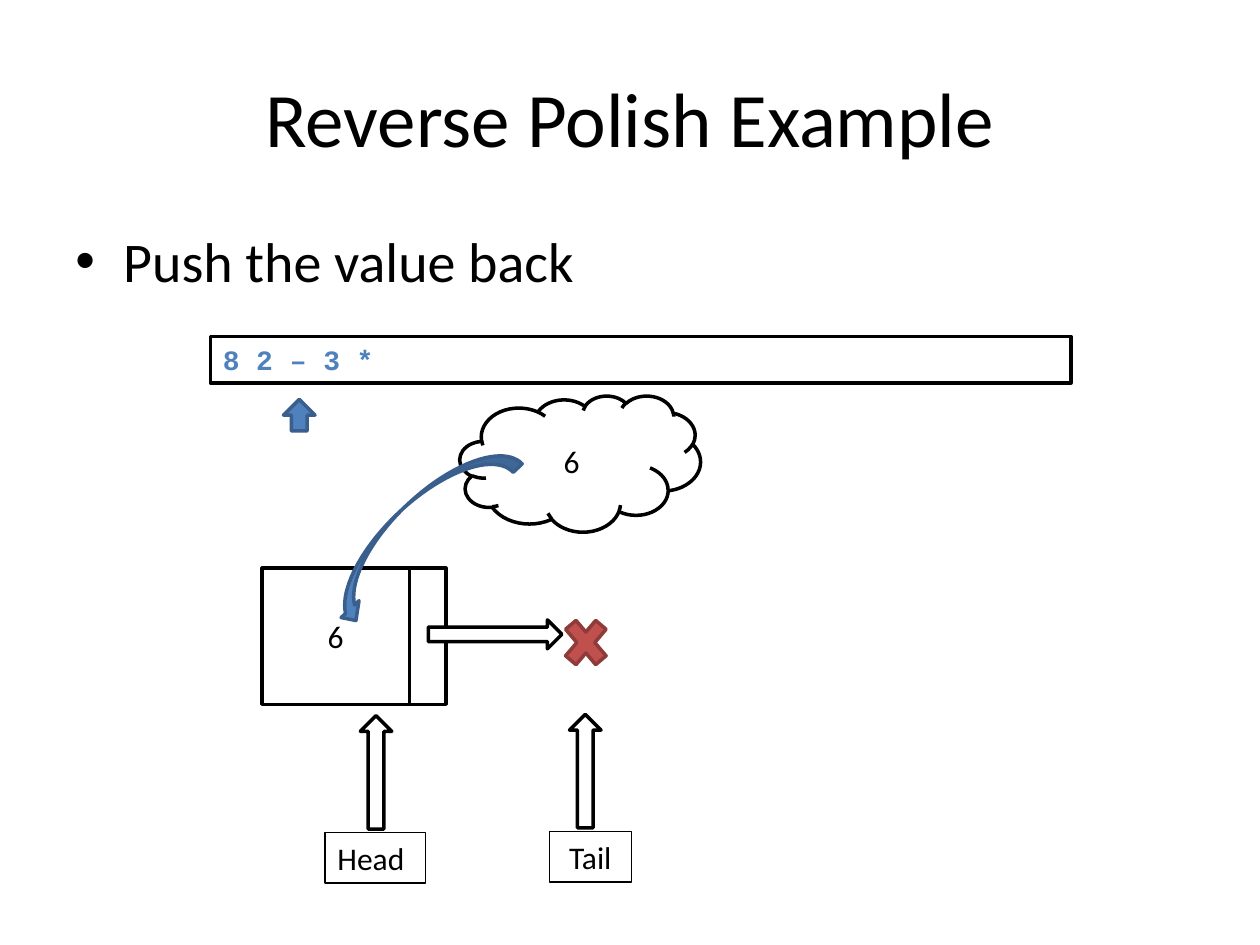
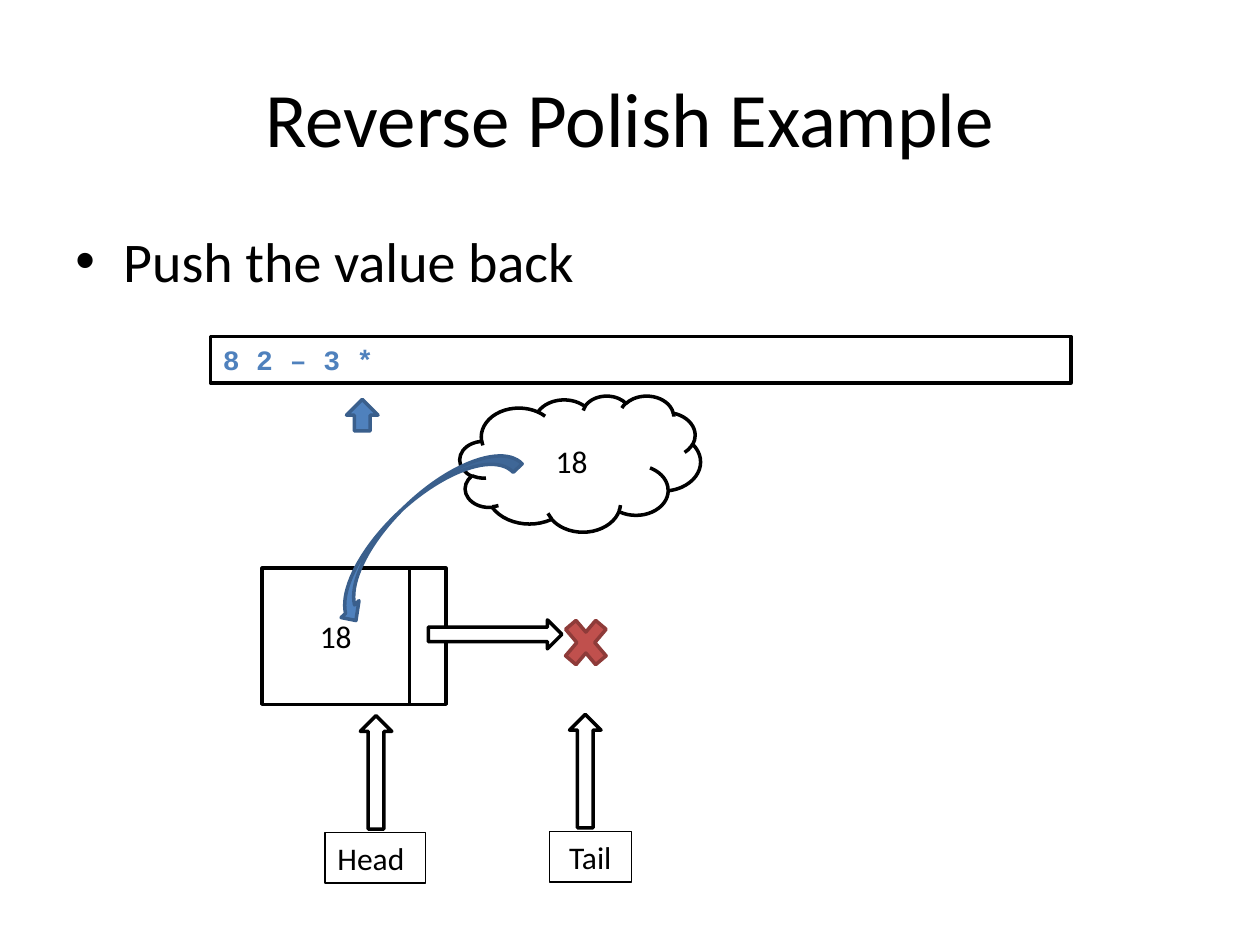
from lxml import etree
from pptx import Presentation
from pptx.dml.color import RGBColor as RGB
from pptx.enum.shapes import MSO_SHAPE as SHAPE
from pptx.enum.text import MSO_ANCHOR as ANCHOR, MSO_AUTO_SIZE as AUTO, PP_ALIGN as ALIGN
from pptx.oxml.ns import qn
from pptx.util import Emu, Pt

PX = 9144  # 100 px to the inch
COLORS = {
    "ink": "000000",
    "paper": "FFFFFF",
    "blue": "4F81BD",
    "blue_edge": "3A5F8C",
    "red": "C0504D",
    "red_edge": "8E3B39",
}
FONT, CODE_FONT = "Calibri", "Courier New"
INDENT = 38


def px(*lengths):
    return [Emu(n * PX) for n in lengths]


def rgb(name):
    return RGB.from_string(COLORS[name])


def write(shape, text, size=18, align=ALIGN.CENTER, anchor=ANCHOR.MIDDLE,
          font=FONT, color="ink", bold=False):
    tf = shape.text_frame
    tf.word_wrap = True
    tf.vertical_anchor = anchor
    p = tf.paragraphs[0]
    p.alignment = align
    r = p.add_run()
    r.text = text
    r.font.name, r.font.size, r.font.bold = font, Pt(size), bold
    r.font.color.rgb = rgb(color)
    return p


def add_shape(shapes, kind, box, fill="paper", line="ink", width=2):
    sp = shapes.add_shape(kind, *px(*box))
    sp.shadow.inherit = False
    if fill:
        sp.fill.solid()
        sp.fill.fore_color.rgb = rgb(fill)
    else:
        sp.fill.background()
    sp.line.color.rgb = rgb(line)
    sp.line.width = Pt(width)
    return sp


def add_title(s, text):
    write(s.shapes.add_textbox(*px(50, 30, 900, 125)), text, 44)


def add_bullet(s, text):
    box = s.shapes.add_textbox(*px(50, 175, 900, 495))
    p = write(box, text, 32, ALIGN.LEFT, ANCHOR.TOP)
    pPr = p._p.get_or_add_pPr()
    pPr.set("marL", str(INDENT * PX))
    pPr.set("indent", str(-INDENT * PX))
    etree.SubElement(pPr, qn("a:buFont")).set("typeface", "Arial")
    etree.SubElement(pPr, qn("a:buChar")).set("char", "•")


def add_pointer(s, label, label_box, arrow_left, arrow_top, align):
    """Add a labelled box with an arrow rising from it."""
    sp = add_shape(s.shapes, SHAPE.RECTANGLE, label_box, fill=None, width=0.75)
    write(sp, label, align=align, anchor=ANCHOR.TOP)
    sp.text_frame.auto_size = AUTO.SHAPE_TO_FIT_TEXT
    add_shape(s.shapes, SHAPE.UP_ARROW, (arrow_left, arrow_top, 25, 90))


def add_expression(s, text, cursor_left):
    """Add the input expression and the cursor under the current token."""
    sp = add_shape(s.shapes, SHAPE.RECTANGLE, (167, 267, 683, 37))
    write(sp, text, 16, ALIGN.LEFT, ANCHOR.TOP, CODE_FONT, "blue", True)
    sp.text_frame.auto_size = AUTO.SHAPE_TO_FIT_TEXT
    add_shape(s.shapes, SHAPE.UP_ARROW, (cursor_left, 317, 25, 25), "blue", "blue_edge")


def add_node(s, value):
    """Add a list node: a value cell and a link cell."""
    node = s.shapes.add_group_shape()
    write(add_shape(node.shapes, SHAPE.RECTANGLE, (208, 451, 117, 108)), value)
    add_shape(node.shapes, SHAPE.RECTANGLE, (325, 451, 29, 108))
    add_shape(s.shapes, SHAPE.RIGHT_ARROW, (340, 492, 106, 23))


def add_push(s, value):
    """Add the computed value in a cloud and the arrow into the node."""
    write(add_shape(s.shapes, SHAPE.CLOUD, (365, 314, 191, 108)), value)
    arrow = add_shape(s.shapes, SHAPE.CURVED_RIGHT_ARROW, (312, 324, 39, 191),
                      "blue", "blue_edge")
    arrow.rotation = 46.7


def add_push_slide(prs, value, cursor_left):
    s = prs.slides.add_slide(prs.slide_layouts[6])
    add_title(s, "Reverse Polish Example")
    add_bullet(s, "Push the value back")
    add_pointer(s, "Head", (258, 661, 80, 40), 286, 568, ALIGN.LEFT)
    add_shape(s.shapes, SHAPE.MATH_MULTIPLY, (442, 483, 46, 54), "red", "red_edge")
    add_pointer(s, "Tail", (436, 660, 65, 40), 452, 567, ALIGN.CENTER)
    add_expression(s, "8 2 – 3 *", cursor_left)
    add_node(s, value)
    add_push(s, value)


def main():
    prs = Presentation()
    prs.slide_width, prs.slide_height = px(1000, 750)
    for value, cursor_left in (("6", 225), ("18", 275)):
        add_push_slide(prs, value, cursor_left)
    prs.save("out.pptx")


if __name__ == "__main__":
    main()
